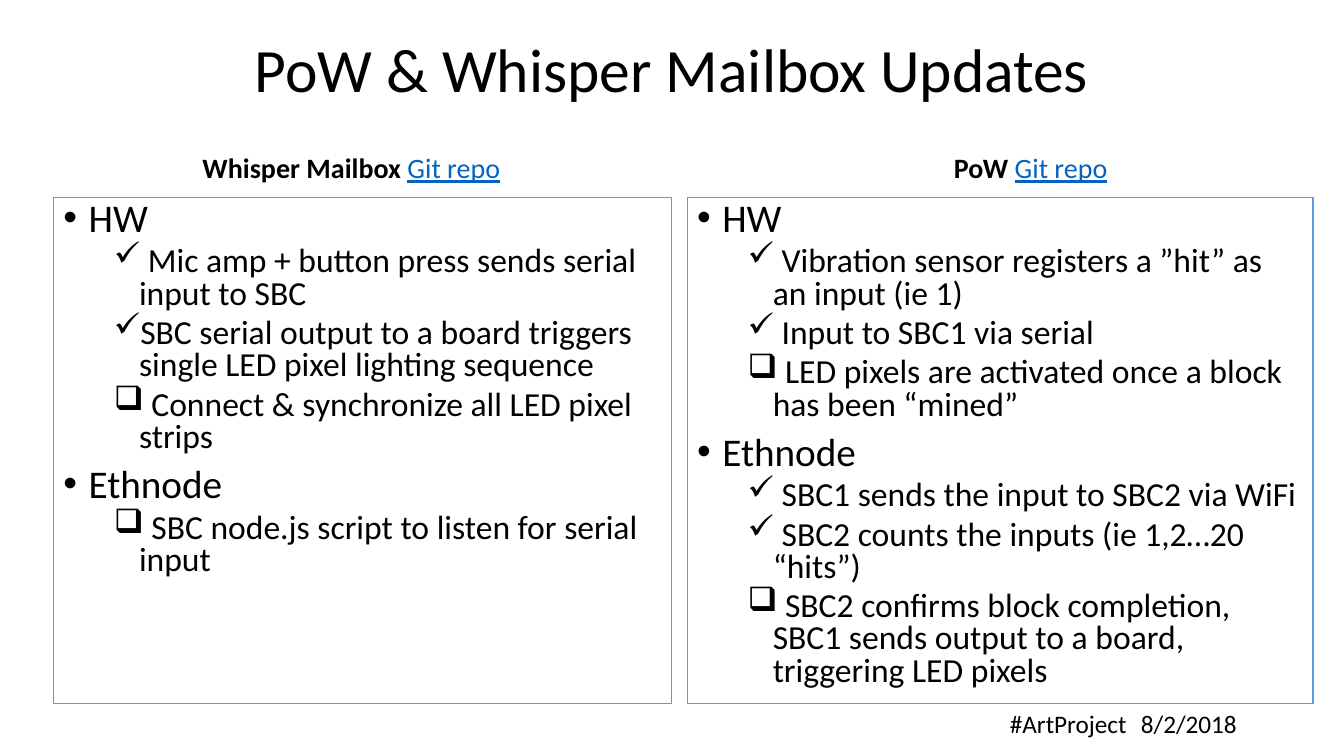
from dataclasses import dataclass

from lxml import etree
from pptx import Presentation
from pptx import util as u
from pptx.dml.color import RGBColor
from pptx.enum import shapes, text
from pptx.oxml import ns

COLORS = {"ink": "000000", "paper": "FFFFFF", "border": "5B9BD5", "link": "0563C1"}
FONT = "Calibri"
TOPIC, DONE, TODO = "•", "✓", "❑"
HEADING_TOP, PANEL_TOP, FOOTER_TOP = u.Cm(3.68), u.Cm(4.98), u.Cm(17.73)
PANEL_HEIGHT = u.Cm(12.75)


@dataclass
class Project:
    name: str
    heading_left: float
    heading_width: float
    panel_left: float
    panel_width: float
    items: list[tuple[str, str]]


@dataclass
class FooterNote:
    wording: str
    left: float
    width: float


PROJECTS = [
    Project("Whisper Mailbox ", 1.35, 15.01, 1.35, 15.57, [
        (TOPIC, "HW"),
        (DONE, " Mic amp + button press sends serial input to SBC"),
        (DONE, "SBC serial output to a board triggers single LED pixel lighting sequence"),
        (TODO, " Connect & synchronize all LED pixel strips"),
        (TOPIC, "Ethnode"),
        (TODO, " SBC node.js script to listen for serial input"),
    ]),
    Project("PoW ", 21.06, 9.83, 17.32, 15.77, [
        (TOPIC, "HW"),
        (DONE, " Vibration sensor registers a ”hit” as an input (ie 1)"),
        (DONE, " Input to SBC1 via serial"),
        (TODO, " LED pixels are activated once a block has been “mined”"),
        (TOPIC, "Ethnode"),
        (DONE, " SBC1 sends the input to SBC2 via WiFi"),
        (DONE, " SBC2 counts the inputs (ie 1,2…20 “hits”)"),
        (TODO, " SBC2 confirms block completion, SBC1 sends output to a board, "
               "triggering LED pixels"),
    ]),
]
FOOTER = [FooterNote("8/2/2018", 28.5, 3.89), FooterNote("#ArtProject", 25.2, 3.63)]


def rgb(name: str) -> RGBColor:
    return RGBColor.from_string(COLORS[name])


def write(paragraph, wording: str, *, size: float, color: str = "ink",
          bold: bool = False, underline: bool = False) -> None:
    run = paragraph.add_run()
    run.text = wording
    run.font.name, run.font.size = FONT, u.Pt(size)
    run.font.bold, run.font.underline = bold, underline
    run.font.color.rgb = rgb(color)


def add_line(slide, left: float, top: int, width: float, height: float):
    """Add a one-line text box and return its paragraph."""
    box = slide.shapes.add_textbox(u.Cm(left), top, u.Cm(width), u.Cm(height))
    box.text_frame.word_wrap = True
    return box.text_frame.paragraphs[0]


def set_bullet(paragraph, mark: str) -> None:
    """Give the paragraph its bullet with a hanging indent."""
    props = paragraph._p.get_or_add_pPr()
    hang = u.Cm(0.635)
    props.set("marL", str(hang if mark == TOPIC else 3 * hang))
    props.set("indent", str(-hang))
    if mark == TOPIC:
        etree.SubElement(props, ns.qn("a:buFont")).set("typeface", "Arial")
    etree.SubElement(props, ns.qn("a:buChar")).set("char", mark)


def add_heading(slide, project: Project) -> None:
    heading = add_line(slide, project.heading_left, HEADING_TOP, project.heading_width, 1.11)
    heading.alignment = text.PP_ALIGN.CENTER
    write(heading, project.name, size=20, bold=True)
    write(heading, "Git repo", size=20, color="link", underline=True)


def add_panel(slide, project: Project) -> None:
    panel = slide.shapes.add_shape(shapes.MSO_SHAPE.RECTANGLE, u.Cm(project.panel_left),
                                   PANEL_TOP, u.Cm(project.panel_width), PANEL_HEIGHT)
    panel.shadow.inherit = False
    panel.fill.solid()
    panel.fill.fore_color.rgb = rgb("paper")
    panel.line.color.rgb = rgb("border")
    panel.line.width = u.Pt(1)
    frame = panel.text_frame
    frame.word_wrap = True
    frame.vertical_anchor = text.MSO_ANCHOR.TOP
    for index, (mark, wording) in enumerate(project.items):
        item = frame.add_paragraph() if index else frame.paragraphs[0]
        is_topic = mark == TOPIC
        set_bullet(item, mark)
        item.level = 0 if is_topic else 1
        item.alignment = text.PP_ALIGN.LEFT
        item.line_spacing = 0.8
        if index:
            item.space_before = u.Pt(10 if is_topic else 5)
        write(item, wording, size=28 if is_topic else 24)


def add_title(slide, wording: str) -> None:
    title = slide.shapes.title
    title.left, title.top = u.Cm(2.33), u.Cm(0)
    title.width, title.height = u.Cm(29.21), u.Cm(3.68)
    title.text_frame.vertical_anchor = text.MSO_ANCHOR.MIDDLE
    line = title.text_frame.paragraphs[0]
    line.alignment = text.PP_ALIGN.CENTER
    line.line_spacing = 0.9
    write(line, wording, size=44)


def main() -> None:
    deck = Presentation()
    deck.slide_width, deck.slide_height = u.Cm(33.87), u.Cm(19.05)
    slide = deck.slides.add_slide(deck.slide_layouts.get_by_name("Title Only"))
    add_title(slide, "PoW & Whisper Mailbox Updates")
    for project in PROJECTS:
        add_panel(slide, project)
    for project in PROJECTS:
        add_heading(slide, project)
    for note in FOOTER:
        write(add_line(slide, note.left, FOOTER_TOP, note.width, 1.02), note.wording, size=18)
    deck.save("out.pptx")


if __name__ == "__main__":
    main()
